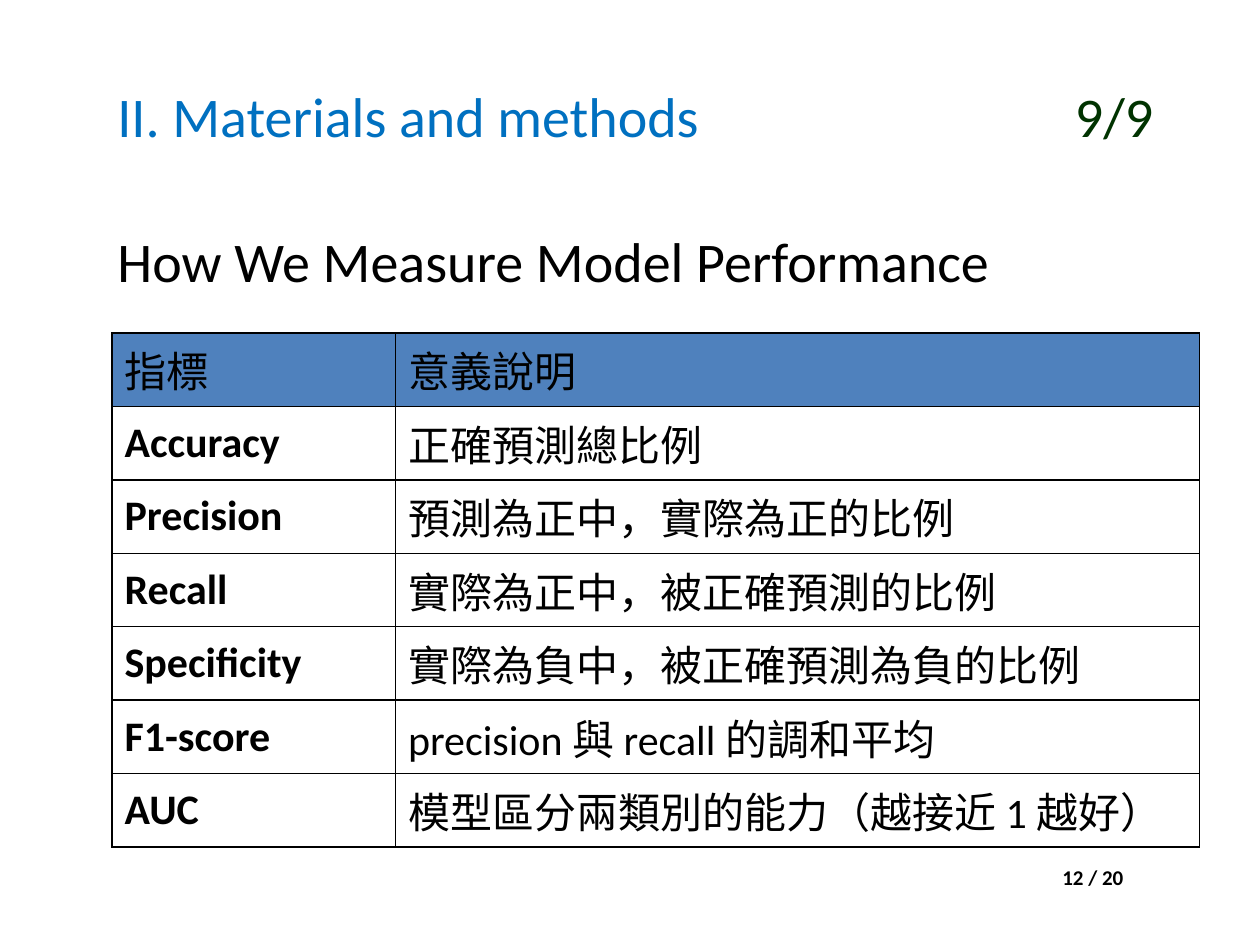
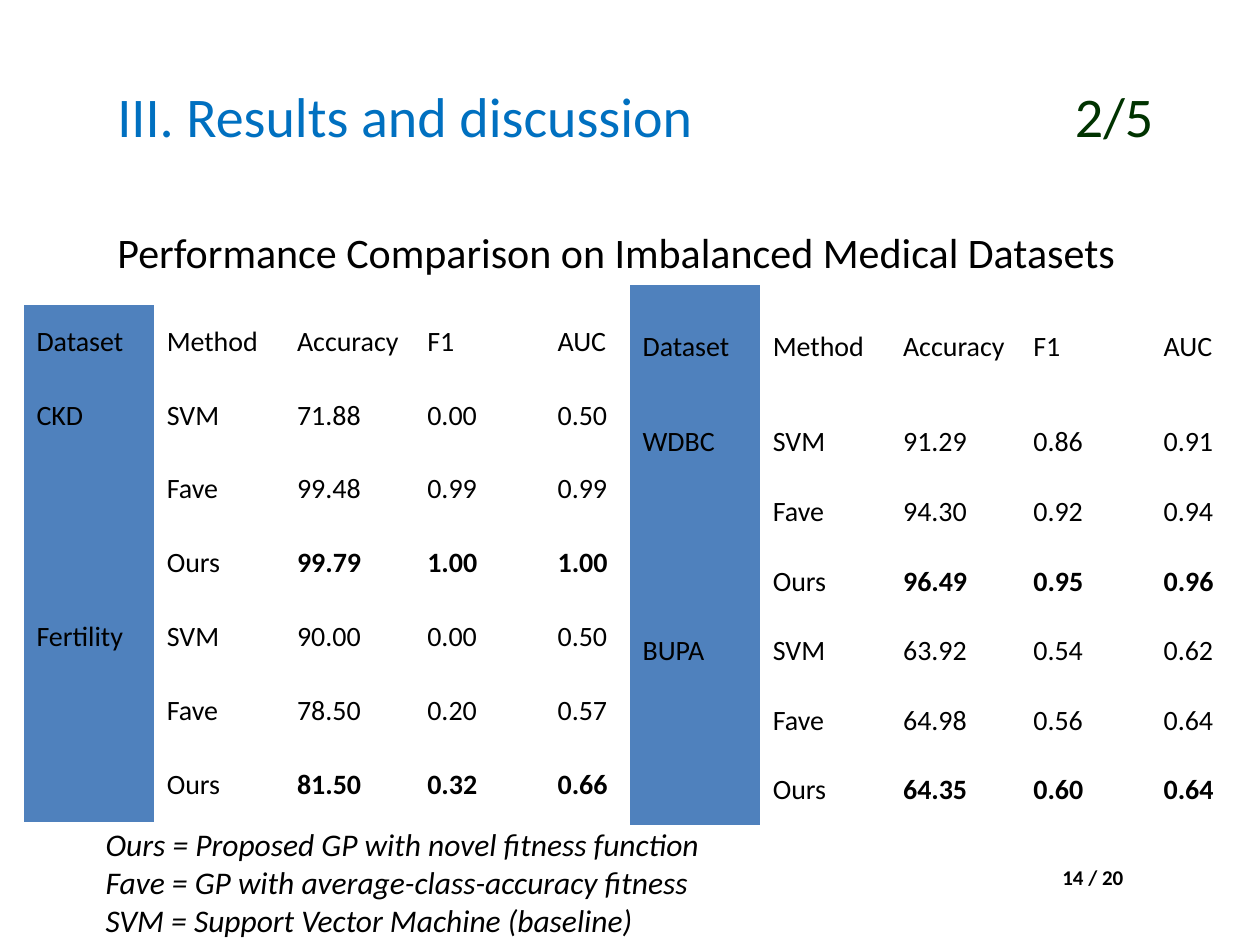
"""Build two slides on model measures and results, with shared titles, page labels and tables."""
from lxml.etree import SubElement
from pptx import Presentation
from pptx.dml.color import RGBColor
from pptx.enum.text import MSO_ANCHOR as Anchor
from pptx.oxml.ns import qn
from pptx.util import Pt

BLACK = RGBColor(0x00, 0x00, 0x00)
TITLE_BLUE = RGBColor(0x00, 0x70, 0xC0)
COUNT_GREEN = RGBColor(0x00, 0x33, 0x00)
CELL_BLUE = RGBColor(0x4F, 0x81, 0xBD)
FONT = "Calibri"
PLAIN_TABLE_STYLE = "{2D5ABB26-0587-4C30-8999-92F81FD0307C}"

MEASURES = [
    ("指標", "意義說明"),
    ("Accuracy", "正確預測總比例"),
    ("Precision", "預測為正中，實際為正的比例"),
    ("Recall", "實際為正中，被正確預測的比例"),
    ("Specificity", "實際為負中，被正確預測為負的比例"),
    ("F1-score", "precision 與 recall 的調和平均"),
    ("AUC", "模型區分兩類別的能力（越接近 1 越好）"),
]
RESULT_HEADER = ("Dataset", "Method", "Accuracy", "F1", "AUC")
LEFT_RESULTS = [
    RESULT_HEADER,
    ("CKD", "SVM", "71.88", "0.00", "0.50"),
    ("", "Fave", "99.48", "0.99", "0.99"),
    ("", "Ours", "99.79", "1.00", "1.00"),
    ("Fertility", "SVM", "90.00", "0.00", "0.50"),
    ("", "Fave", "78.50", "0.20", "0.57"),
    ("", "Ours", "81.50", "0.32", "0.66"),
]
RIGHT_RESULTS = [
    RESULT_HEADER,
    ("WDBC", "SVM", "91.29", "0.86", "0.91"),
    ("", "Fave", "94.30", "0.92", "0.94"),
    ("", "Ours", "96.49", "0.95", "0.96"),
    ("BUPA", "SVM", "63.92", "0.54", "0.62"),
    ("", "Fave", "64.98", "0.56", "0.64"),
    ("", "Ours", "64.35", "0.60", "0.64"),
]
METHOD_NOTES = [
    "Ours = Proposed GP with novel fitness function",
    "Fave = GP with average-class-accuracy fitness",
    "SVM = Support Vector Machine (baseline)",
]

TITLE_BOX = (60, 21, 636, 90)
SUBTITLE_BOX = (60, 126, 636, 338)
PAGE_BOX = (600, 490.3, 100, 21.6)
NOTES_BOX = (53.3, 468, 360, 72.7)
COUNT_TAB = 592
MEASURE_COLUMNS = (162, 459.4)
RESULT_COLUMNS = (74.45,) * len(RESULT_HEADER)


def write(paragraph, text, size, color=BLACK, bold=False, italic=False):
    run = paragraph.add_run()
    run.text = text
    font = run.font
    font.name, font.size, font.bold, font.italic = FONT, Pt(size), bold, italic
    font.color.rgb = color


def add_box(slide, box, anchor=Anchor.TOP):
    frame = slide.shapes.add_textbox(*map(Pt, box)).text_frame
    frame.word_wrap = True
    frame.vertical_anchor = anchor
    return frame


def add_lines(slide, box, lines, size, **style):
    frame = add_box(slide, box)
    for index, line in enumerate(lines):
        paragraph = frame.add_paragraph() if index else frame.paragraphs[0]
        write(paragraph, line, size, **style)


def add_framed_slide(presentation, title, count, page, subtitle, subtitle_size):
    slide = presentation.slides.add_slide(presentation.slide_layouts[6])
    paragraph = add_box(slide, TITLE_BOX, Anchor.MIDDLE).paragraphs[0]
    tabs = SubElement(paragraph._p.get_or_add_pPr(), qn("a:tabLst"))
    SubElement(tabs, qn("a:tab"), pos=str(Pt(COUNT_TAB)), algn="r")
    write(paragraph, title, 32, TITLE_BLUE)
    write(paragraph, "\t" + count, 32, COUNT_GREEN)
    add_lines(slide, PAGE_BOX, [page], 12, bold=True)
    add_lines(slide, SUBTITLE_BOX, [subtitle], subtitle_size)
    return slide


def add_borders(cell):
    properties = cell._tc.get_or_add_tcPr()
    for side in ("lnL", "lnR", "lnT", "lnB"):
        line = SubElement(properties, qn("a:" + side), w=str(Pt(1)))
        fill = SubElement(line, qn("a:solidFill"))
        SubElement(fill, qn("a:srgbClr"), val=str(BLACK))


def add_grid(slide, rows, left, top, columns, heights, size, is_blue, is_bold, bordered=False):
    table = slide.shapes.add_table(
        len(rows), len(columns), Pt(left), Pt(top), Pt(sum(columns)), Pt(sum(heights))
    ).table
    table.first_row = table.horz_banding = False
    table._tbl.tblPr.find(qn("a:tableStyleId")).text = PLAIN_TABLE_STYLE
    for column, width in zip(table.columns, columns):
        column.width = Pt(width)
    for row, height in zip(table.rows, heights):
        row.height = Pt(height)
    for row_index, values in enumerate(rows):
        for column_index, value in enumerate(values):
            cell = table.cell(row_index, column_index)
            cell.vertical_anchor = Anchor.MIDDLE
            if bordered:
                add_borders(cell)
            if is_blue(row_index, column_index):
                cell.fill.solid()
                cell.fill.fore_color.rgb = CELL_BLUE
            else:
                cell.fill.background()
            if value:
                bold = is_bold(row_index, column_index)
                write(cell.text_frame.paragraphs[0], value, size, bold=bold)


def add_results(slide, rows, left, top, header_height, row_height):
    heights = [header_height] + [row_height] * (len(rows) - 1)
    add_grid(
        slide, rows, left, top, RESULT_COLUMNS, heights, 16,
        is_blue=lambda row, column: column == 0,
        is_bold=lambda row, column: rows[row][1] == "Ours" and column > 1,
    )


def main():
    presentation = Presentation()
    presentation.slide_width, presentation.slide_height = Pt(720), Pt(540)

    measures = add_framed_slide(
        presentation, "II. Materials and methods", "9/9", "12 / 20",
        "How We Measure Model Performance", 32,
    )
    add_grid(
        measures, MEASURES, 64, 190.2, MEASURE_COLUMNS, [42] * len(MEASURES), 24,
        is_blue=lambda row, column: row == 0,
        is_bold=lambda row, column: row > 0 and column == 0,
        bordered=True,
    )

    results = add_framed_slide(
        presentation, "III. Results and discussion", "2/5", "14 / 20",
        "Performance Comparison on Imbalanced Medical Datasets", 24,
    )
    add_results(results, LEFT_RESULTS, 13.7, 174.2, 42.2, 42.2)
    add_results(results, RIGHT_RESULTS, 360, 163.1, 69.8, 39.75)
    add_lines(results, NOTES_BOX, METHOD_NOTES, 18, italic=True)

    presentation.save("out.pptx")


if __name__ == "__main__":
    main()
